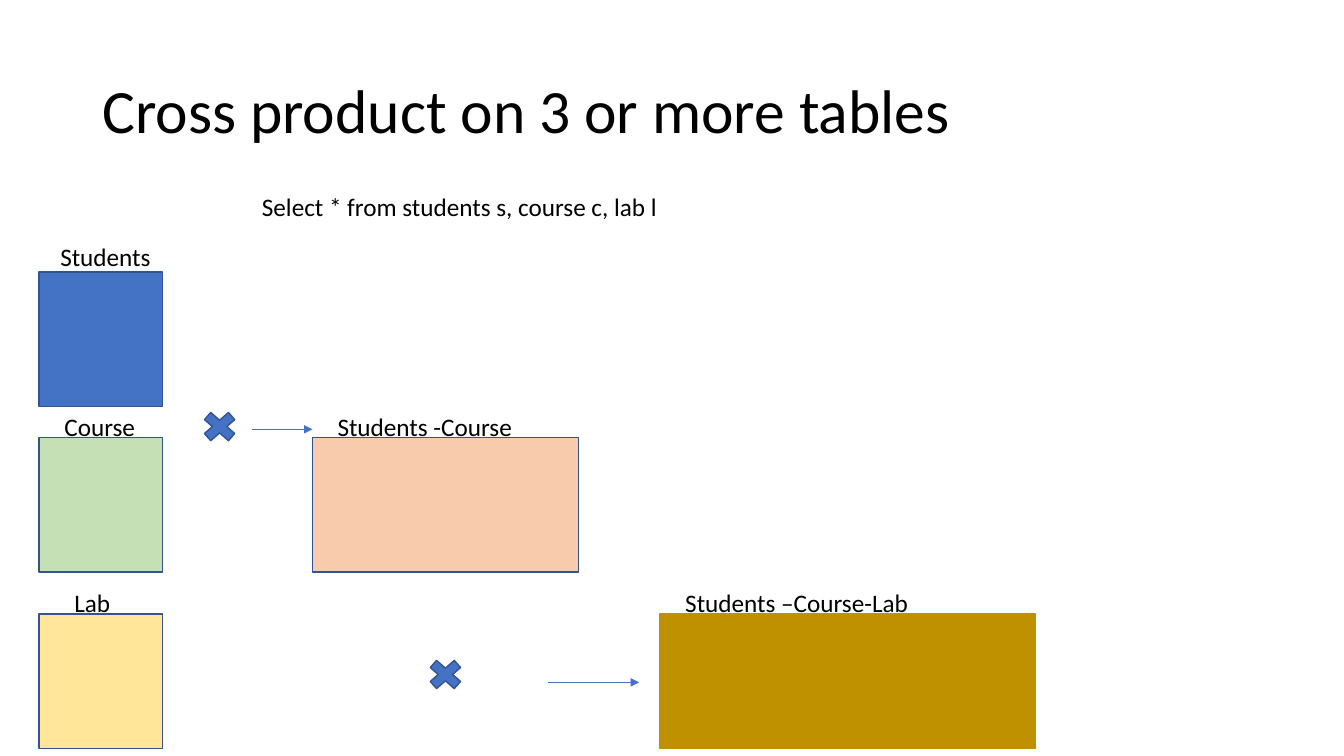
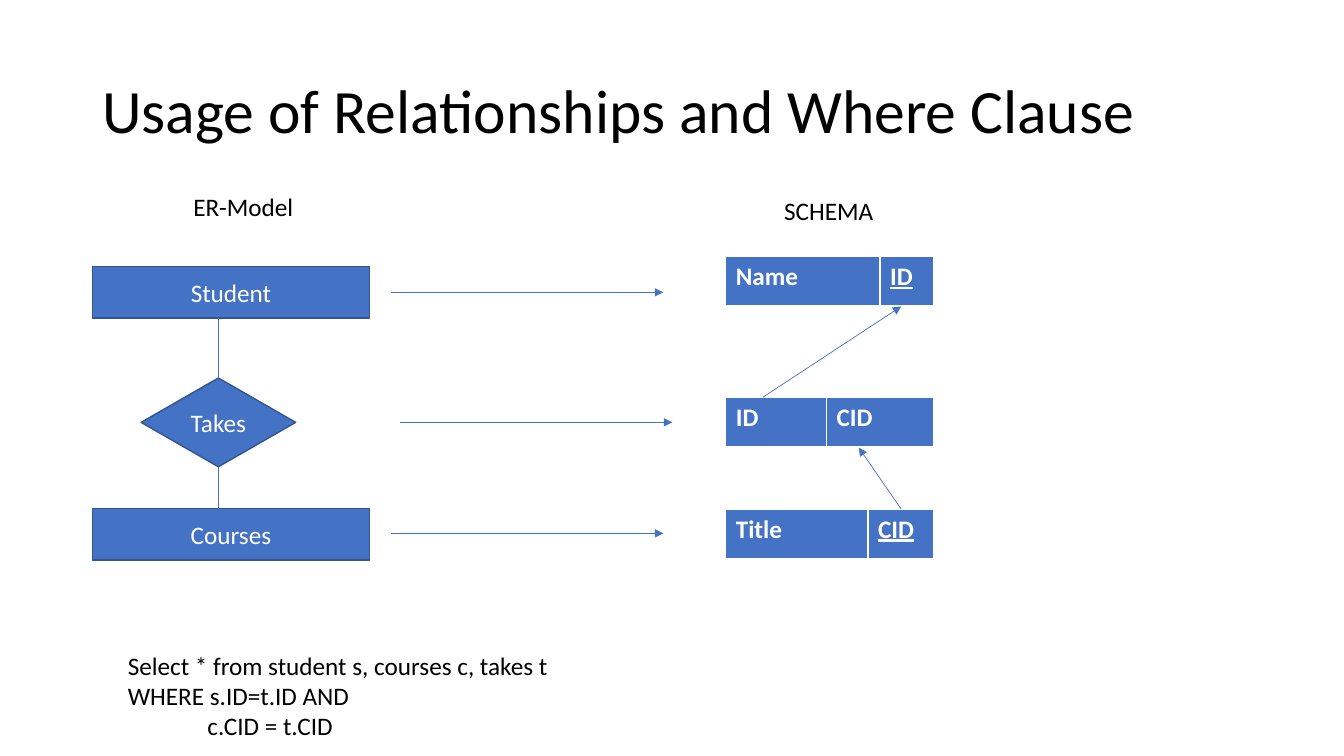
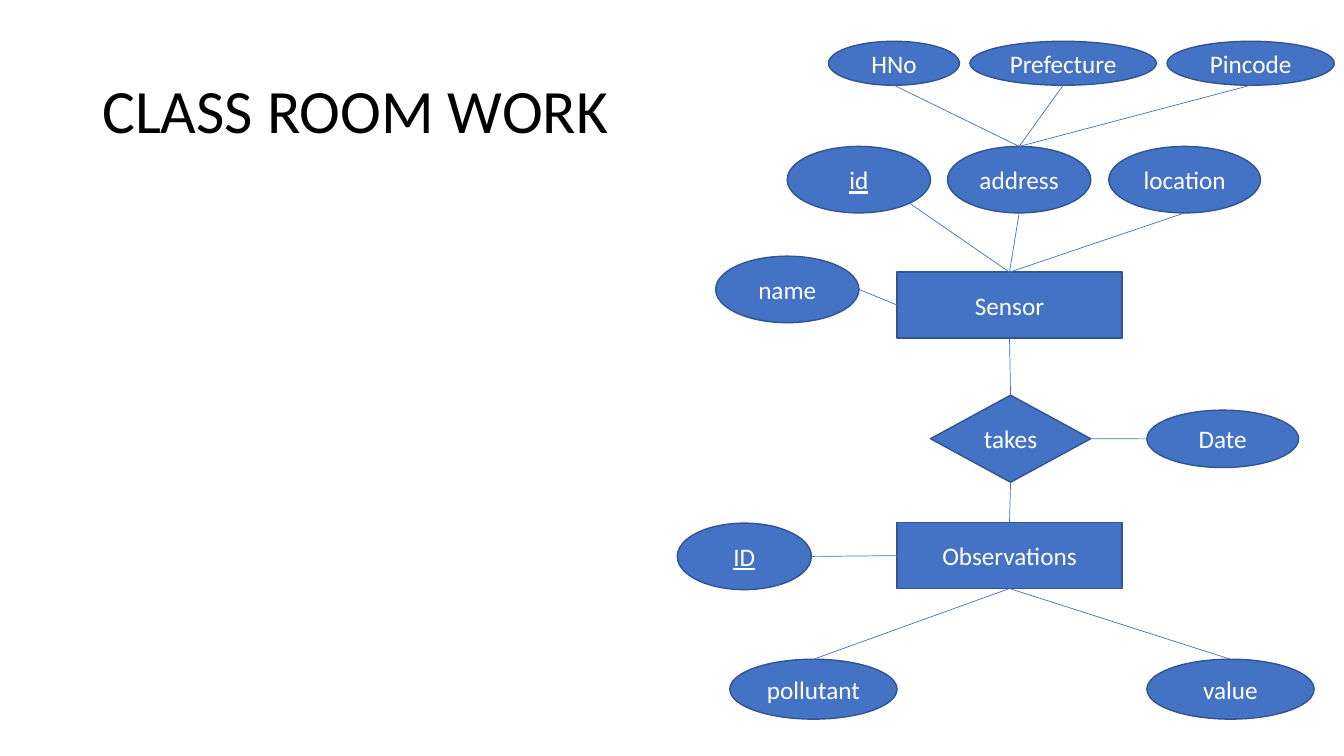
"""Build three slides on cross products, relationships and an ER exercise."""
from typing import NamedTuple, Optional

from lxml import etree
from pptx import Presentation
from pptx.dml.color import RGBColor
from pptx.enum.shapes import MSO_CONNECTOR, MSO_SHAPE
from pptx.enum.text import MSO_ANCHOR, PP_ALIGN
from pptx.oxml import parse_xml
from pptx.oxml.ns import nsdecls, qn
from pptx.shapes.autoshape import Shape
from pptx.shapes.connector import Connector
from pptx.slide import Slide
from pptx.table import _Cell
from pptx.text.text import TextFrame
from pptx.util import Pt

BLACK = RGBColor(0x00, 0x00, 0x00)
WHITE = RGBColor(0xFF, 0xFF, 0xFF)
BLUE = RGBColor(0x44, 0x72, 0xC4)
NAVY = RGBColor(0x32, 0x54, 0x91)
GREEN = RGBColor(0xC5, 0xE0, 0xB4)
YELLOW = RGBColor(0xFF, 0xE6, 0x99)
PEACH = RGBColor(0xF8, 0xCB, 0xAD)
OCHRE = RGBColor(0xBF, 0x90, 0x00)

RECT = MSO_SHAPE.RECTANGLE
OVAL = MSO_SHAPE.OVAL
DIAMOND = MSO_SHAPE.DIAMOND
TIMES = MSO_SHAPE.MATH_MULTIPLY
STRAIGHT = MSO_CONNECTOR.STRAIGHT
CENTER = PP_ALIGN.CENTER
MIDDLE = MSO_ANCHOR.MIDDLE

FONT = "Calibri"
BODY_SIZE = 18
TITLE_SIZE = 44
LABEL_HEIGHT = 29

TOP, LEFT, BOTTOM, RIGHT, LOWER_RIGHT = range(5)
ANCHORS = {
    TOP: (0.5, 0),
    LEFT: (0, 0.5),
    BOTTOM: (0.5, 1),
    RIGHT: (1, 0.5),
    LOWER_RIGHT: (0.85, 0.85),
}


class Node(NamedTuple):
    """A preset shape with an optional centred caption."""

    caption: str
    kind: MSO_SHAPE
    left: float
    top: float
    width: float
    height: float
    fill: RGBColor = BLUE
    outline: RGBColor = NAVY
    underline: bool = False


class Label(NamedTuple):
    """Black text on the slide."""

    text: str
    left: float
    top: float
    width: float
    height: float = LABEL_HEIGHT


class Line(NamedTuple):
    """A straight line between two points."""

    x1: float
    y1: float
    x2: float
    y2: float


class Link(NamedTuple):
    """A line between the sides of two captioned nodes."""

    start: str
    start_side: int
    end: str
    end_side: int


class Schema(NamedTuple):
    """A two-column relation header."""

    top: float
    columns: tuple[str, str]
    widths: tuple[float, float]
    key: Optional[str] = None


def style_text(frame: TextFrame, color: RGBColor, size: float = BODY_SIZE,
               bold: bool = False, underline: bool = False) -> None:
    """Format every run of a text frame."""
    for paragraph in frame.paragraphs:
        for run in paragraph.runs:
            run.font.name = FONT
            run.font.size = Pt(size)
            run.font.color.rgb = color
            run.font.bold = bold
            run.font.underline = underline


def add_title(slide: Slide, text: str) -> None:
    """Draw the title shared by all slides."""
    frame = slide.shapes.add_textbox(Pt(66), Pt(29), Pt(828), Pt(104.4)).text_frame
    frame.word_wrap = True
    frame.vertical_anchor = MIDDLE
    frame.text = text
    frame.paragraphs[0].line_spacing = 0.9
    style_text(frame, BLACK, TITLE_SIZE)


def add_label(slide: Slide, label: Label) -> None:
    """Draw an unwrapped label."""
    frame = slide.shapes.add_textbox(
        Pt(label.left), Pt(label.top), Pt(label.width), Pt(label.height)).text_frame
    frame.word_wrap = False
    frame.text = label.text
    style_text(frame, BLACK)


def add_node(slide: Slide, node: Node) -> Shape:
    """Draw a filled and outlined shape with its caption."""
    shape = slide.shapes.add_shape(
        node.kind, Pt(node.left), Pt(node.top), Pt(node.width), Pt(node.height))
    shape.shadow.inherit = False
    shape.fill.solid()
    shape.fill.fore_color.rgb = node.fill
    shape.line.color.rgb = node.outline
    shape.line.width = Pt(1)
    if node.caption:
        frame = shape.text_frame
        frame.text = node.caption
        frame.vertical_anchor = MIDDLE
        frame.paragraphs[0].alignment = CENTER
        style_text(frame, WHITE, underline=node.underline)
    return shape


def add_line(slide: Slide, line: Line, arrow: bool = False) -> Connector:
    """Draw a thin connector, with an arrowhead if wanted."""
    connector = slide.shapes.add_connector(STRAIGHT, *(Pt(value) for value in line))
    connector.line.color.rgb = BLUE
    connector.line.width = Pt(0.5)
    if arrow:
        etree.SubElement(connector.line._get_or_add_ln(), qn("a:tailEnd"), type="triangle")
    etree.SubElement(connector._element.spPr, qn("a:effectLst"))
    return connector


def anchor_point(node: Node, side: int) -> tuple[float, float]:
    """Return the point on a node at the given side."""
    across, down = ANCHORS[side]
    return node.left + across * node.width, node.top + down * node.height


def add_link(slide: Slide, link: Link, nodes: dict[str, Node],
             shapes: dict[str, Shape]) -> None:
    """Draw a line between two nodes, joined where the sides are connection sites."""
    start, end = nodes[link.start], nodes[link.end]
    connector = add_line(slide, Line(*anchor_point(start, link.start_side),
                                     *anchor_point(end, link.end_side)))
    if start.kind != OVAL:
        connector.begin_connect(shapes[link.start], link.start_side)
    if end.kind != OVAL:
        connector.end_connect(shapes[link.end], link.end_side)


def style_cell(cell: _Cell, text: str, underline: bool) -> None:
    """Fill a relation cell and give it white borders."""
    cell.text = text
    style_text(cell.text_frame, WHITE, bold=True, underline=underline)
    properties = cell._tc.get_or_add_tcPr()
    for side, width in (("L", 1), ("R", 1), ("T", 1), ("B", 3)):
        properties.append(parse_xml(
            f'<a:ln{side} {nsdecls("a")} w="{Pt(width)}"><a:solidFill>'
            f'<a:srgbClr val="{WHITE}"/></a:solidFill></a:ln{side}>'))
    cell.fill.solid()
    cell.fill.fore_color.rgb = BLUE


def add_schema(slide: Slide, schema: Schema) -> None:
    """Draw a relation header as a table."""
    table = slide.shapes.add_table(1, len(schema.columns), Pt(518.4), Pt(schema.top),
                                   Pt(sum(schema.widths)), Pt(36)).table
    for index, (name, width) in enumerate(zip(schema.columns, schema.widths)):
        table.columns[index].width = Pt(width)
        style_cell(table.cell(0, index), name, name == schema.key)


def build_cross_product(slide: Slide) -> None:
    """Draw the step-by-step cross product of three tables."""
    add_title(slide, "Cross product on 3 or more tables")
    student_top, course_top, lab_top = 194.4, 312.5, 438.5
    label_rise, side = 22.3, 96
    relations = (
        Node("", RECT, 28, student_top, 88, side),
        Node("", RECT, 28, course_top, 88, side, GREEN),
        Node("", RECT, 28, lab_top, 88, side, YELLOW),
        Node("", RECT, 223.2, course_top, 190, side, PEACH),
        Node("", RECT, 471.6, lab_top, 268, side, OCHRE, OCHRE),
    )
    operators = (
        Node("", TIMES, 140.4, 290.2, 33, LABEL_HEIGHT),
        Node("", TIMES, 301.7, 467.3, 33, LABEL_HEIGHT),
    )
    labels = (
        Label("Select * from students s, course c, lab l", 180, 133.2, 300),
        Label("Students", 36, 168.5, 80),
        Label("Course", 38.9, course_top - label_rise, 65.5),
        Label("Lab", 46, lab_top - label_rise, 40.3),
        Label("Students -Course", 234, course_top - label_rise, 140.4),
        Label("Students –Course-Lab", 482.4, lab_top - label_rise, 175.7),
    )
    for node in relations + operators:
        add_node(slide, node)
    for label in labels:
        add_label(slide, label)
    for arrow in (Line(180, 306.7, 223.2, 306.7), Line(391.7, 487.4, 456.5, 487.4)):
        add_line(slide, arrow, arrow=True)


def build_relationships(slide: Slide) -> None:
    """Draw an ER model beside the schema it maps to."""
    add_title(slide, "Usage of Relationships and Where Clause")
    student = Node("Student", RECT, 66, 190.4, 198, 36.7)
    courses = Node("Courses", RECT, 66, 363.4, 198, 36.7)
    takes = Node("Takes", DIAMOND, 100.8, 270, 110.4, 63.4)
    add_node(slide, student)
    add_node(slide, courses)
    takes_shape = add_node(slide, takes)
    axis = takes.left + takes.width / 2
    upper = add_line(slide, Line(axis, student.top + student.height, axis, takes.top))
    upper.end_connect(takes_shape, TOP)
    lower = add_line(slide, Line(axis, takes.top + takes.height, axis, courses.top))
    lower.begin_connect(takes_shape, BOTTOM)

    schemas = (
        Schema(183.2, ("Name", "ID"), (110.2, 38.2), "ID"),
        Schema(284, ("ID", "CID"), (72, 76.4)),
        Schema(363.6, ("Title", "CID"), (101.6, 46.8), "CID"),
    )
    for schema in schemas:
        add_schema(slide, schema)

    mapping_arrows = [Line(left, y, left + 194.4, y)
                      for left, y in ((279.4, 208.8), (285.8, 301.7), (279.4, 381))]
    reference_arrows = [Line(643.7, 363.6, 613.4, 319.7), Line(545, 283.7, 643.7, 218.9)]
    for arrow in mapping_arrows + reference_arrows:
        add_line(slide, arrow, arrow=True)

    query = ("Select * from student s, courses c, takes t\n"
             "WHERE s.ID=t.ID AND\n"
             "              c.CID = t.CID")
    for label in (Label("ER-Model", 131, 133.2, 86.4),
                  Label("SCHEMA", 553, 136, 78.5),
                  Label(query, 84.2, 460.8, 318.2, 72.7)):
        add_label(slide, label)


def build_class_work(slide: Slide) -> None:
    """Draw the ER diagram of sensors and observations."""
    add_title(slide, "CLASS ROOM WORK")
    address_part_top, attribute_top, reading_top = 29.5, 104.6, 470.9
    items = (
        Node("Sensor", RECT, 640.8, 194.4, 160.6, 47),
        Node("Observations", RECT, 640.8, 373.4, 160.6, 47),
        Node("takes", DIAMOND, 664.6, 282.3, 114.5, 62.2),
        Node("id", OVAL, 562.3, attribute_top, 102.4, 47.5, underline=True),
        Node("address", OVAL, 676.8, attribute_top, 102.4, 47.5),
        Node("location", OVAL, 792, attribute_top, 108.4, 47.5),
        Node("name", OVAL, 511.2, 183, 102.4, 47.5),
        Node("ID", OVAL, 483.8, 373.7, 95.8, 47.5, underline=True),
        Node("pollutant", OVAL, 521.3, reading_top, 119.5, 42.8),
        Node("value", OVAL, 819.2, reading_top, 119.5, 42.8),
        Node("Date", OVAL, 819.2, 293, 108.4, 41),
        Node("HNo", OVAL, 591.8, address_part_top, 93.6, 31.4),
        Node("Prefecture", OVAL, 692.8, address_part_top, 133.2, 31.4),
        Node("Pincode", OVAL, 833.6, address_part_top, 119.5, 31.4),
    )
    links = (
        Link("id", LOWER_RIGHT, "Sensor", TOP),
        Link("name", RIGHT, "Sensor", LEFT),
        Link("address", BOTTOM, "Sensor", TOP),
        Link("location", BOTTOM, "Sensor", TOP),
        Link("Observations", LEFT, "ID", RIGHT),
        Link("Observations", BOTTOM, "pollutant", TOP),
        Link("Observations", BOTTOM, "value", TOP),
        Link("Sensor", BOTTOM, "takes", TOP),
        Link("takes", BOTTOM, "Observations", TOP),
        Link("takes", RIGHT, "Date", LEFT),
        Link("HNo", BOTTOM, "address", TOP),
        Link("Prefecture", BOTTOM, "address", TOP),
        Link("Pincode", BOTTOM, "address", TOP),
    )
    nodes = {node.caption: node for node in items}
    shapes = {node.caption: add_node(slide, node) for node in items}
    for link in links:
        add_link(slide, link, nodes, shapes)


def main() -> None:
    """Build and save the presentation."""
    presentation = Presentation()
    presentation.slide_width = Pt(960)
    presentation.slide_height = Pt(540)
    blank = presentation.slide_layouts[6]
    for build in (build_cross_product, build_relationships, build_class_work):
        build(presentation.slides.add_slide(blank))
    presentation.save("out.pptx")


if __name__ == "__main__":
    main()
